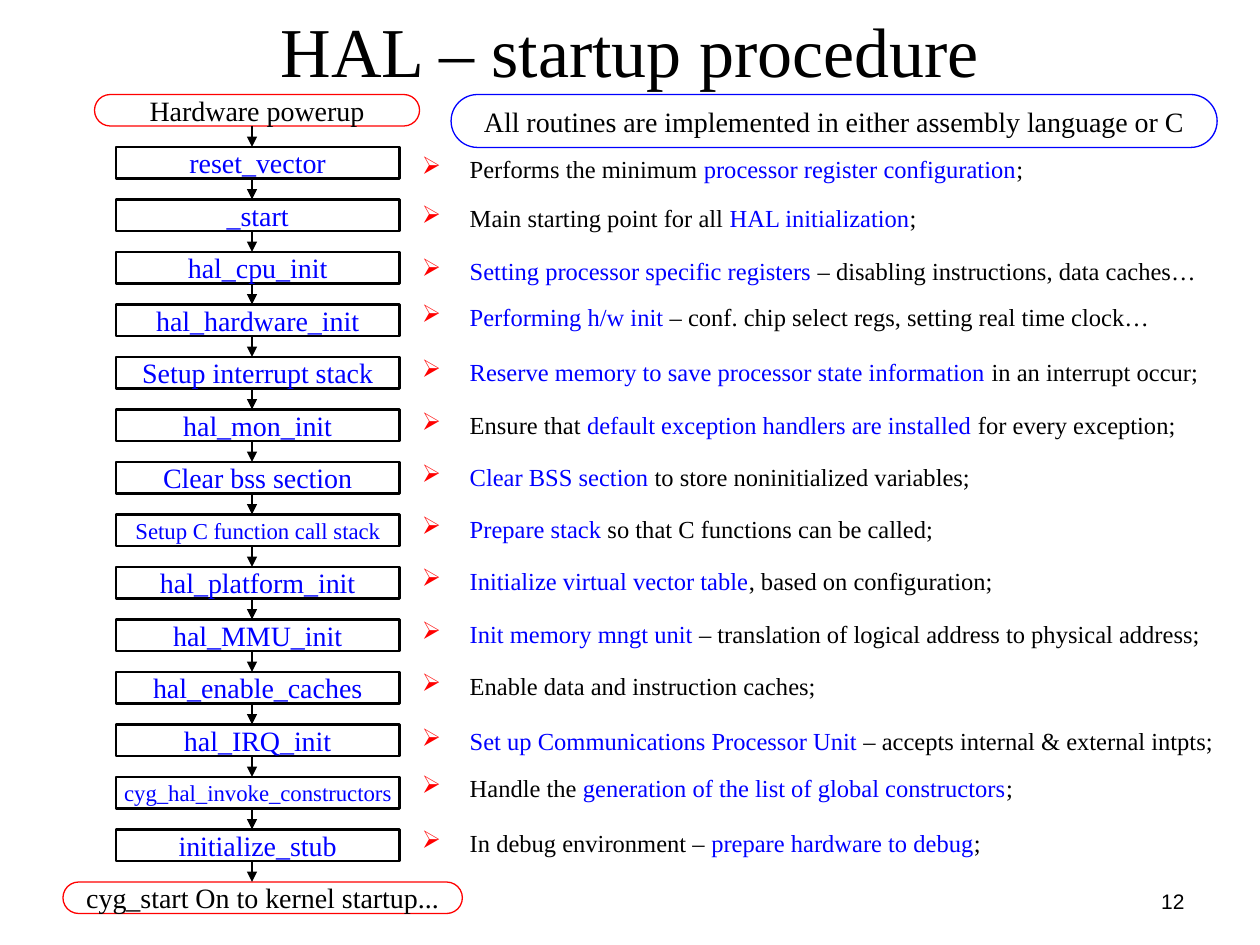
from lxml import etree
from pptx import Presentation
from pptx.dml.color import RGBColor
from pptx.enum.shapes import MSO_CONNECTOR, MSO_SHAPE
from pptx.enum.text import MSO_ANCHOR, PP_ALIGN
from pptx.oxml.ns import qn
from pptx.util import Inches, Pt

COLORS = {"black": "000000", "blue": "0000FF", "red": "FF0000"}
SERIF = "Times New Roman"
FLOW_TOP, FLOW_STEP, BOX_HEIGHT, ARROW_X = 0.75, 5 / 12, 0.25, 2

ROUTINES = [
    ("reset_vector", 16), ("_start", 16), ("hal_cpu_init", 16),
    ("hal_hardware_init", 16), ("Setup interrupt stack", 16),
    ("hal_mon_init", 16), ("Clear bss section", 16),
    ("Setup C function call stack", 13), ("hal_platform_init", 16),
    ("hal_MMU_init", 16), ("hal_enable_caches", 16), ("hal_IRQ_init", 16),
    ("cyg_hal_invoke_constructors", 13), ("initialize_stub", 16),
]

EXPLANATIONS = [
    (1.4, [("Performs the minimum ", "black"),
           ("processor register configuration", "blue"), (";", "black")]),
    (1.5, [("Main starting point for all ", "black"),
           ("HAL initialization", "blue"), (";", "black")]),
    (1.6, [("Setting processor specific registers", "blue"),
           (" – disabling instructions, data caches…", "black")]),
    (1.4, [("Performing h/w init", "blue"),
           (" – conf. chip select regs, setting real time clock…", "black")]),
    (1.7, [("Reserve memory to save processor state information", "blue"),
           (" in an interrupt occur;", "black")]),
    (1.6, [("Ensure that ", "black"),
           ("default exception handlers are installed", "blue"),
           (" for every exception;", "black")]),
    (1.6, [("Clear BSS section", "blue"),
           (" to store noninitialized variables;", "black")]),
    (1.6, [("Prepare stack", "blue"),
           (" so that C functions can be called;", "black")]),
    (1.6, [("Initialize virtual vector table", "blue"),
           (", based on configuration;", "black")]),
    (1.6, [("Init memory mngt unit", "blue"),
           (" – translation of logical address to physical address;", "black")]),
    (1.6, [("Enable data and instruction caches;", "black")]),
    (1.7, [("Set up Communications Processor Unit", "blue"),
           (" – accepts internal & external intpts;", "black")]),
    (1.4, [("Handle the ", "black"),
           ("generation of the list of global constructors", "blue"),
           (";", "black")]),
    (1.7, [("In debug environment – ", "black"),
           ("prepare hardware to debug", "blue"), (";", "black")]),
]


def rgb(name):
    return RGBColor.from_string(COLORS[name])


def add_run(paragraph, text, size, color="black", font=SERIF):
    run = paragraph.add_run()
    run.text = text
    run.font.size = Pt(size)
    run.font.name = font
    run.font.color.rgb = rgb(color)


def add_label(slide, area, text, size, align, font=SERIF):
    label = slide.shapes.add_textbox(*map(Inches, area))
    frame = label.text_frame
    frame.word_wrap = True
    frame.vertical_anchor = MSO_ANCHOR.MIDDLE
    frame.paragraphs[0].alignment = align
    add_run(frame.paragraphs[0], text, size, font=font)


def add_node(slide, preset, area, text, size, color, outline, weight):
    node = slide.shapes.add_shape(preset, *map(Inches, area))
    if preset == MSO_SHAPE.ROUNDED_RECTANGLE:
        node.adjustments[0] = 0.5
    node.shadow.inherit = False
    node.fill.background()
    node.line.color.rgb = rgb(outline)
    node.line.width = Pt(weight)
    frame = node.text_frame
    frame.word_wrap = False
    frame.vertical_anchor = MSO_ANCHOR.MIDDLE
    frame.paragraphs[0].alignment = PP_ALIGN.CENTER
    add_run(frame.paragraphs[0], text, size, color)


def add_capsule(slide, area, text, outline):
    add_node(slide, MSO_SHAPE.ROUNDED_RECTANGLE, area, text, 16, "black",
             outline, 0.75)


def add_arrow(slide, top, bottom):
    arrow = slide.shapes.add_connector(
        MSO_CONNECTOR.STRAIGHT, Inches(ARROW_X), Inches(top),
        Inches(ARROW_X), Inches(bottom))
    arrow.line.color.rgb = rgb("black")
    arrow.line.width = Pt(0.75)
    etree.SubElement(arrow.line._get_or_add_ln(), qn("a:tailEnd"), type="triangle")
    etree.SubElement(arrow._element.spPr, qn("a:effectLst"))


def add_bullet(paragraph):
    properties = paragraph._p.get_or_add_pPr()
    properties.set("marL", str(Inches(0.38)))
    properties.set("indent", str(Inches(-0.38)))
    bullet_color = etree.SubElement(properties, qn("a:buClr"))
    etree.SubElement(bullet_color, qn("a:srgbClr"), val=COLORS["red"])
    etree.SubElement(properties, qn("a:buChar"), char="➢")


def add_flow(slide):
    tops = [FLOW_TOP + FLOW_STEP * i for i in range(len(ROUTINES) + 2)]
    add_capsule(slide, (0.75, tops[0], 2.58, BOX_HEIGHT),
                "Hardware powerup", "red")
    for top, (routine, size) in zip(tops[1:], ROUTINES):
        add_node(slide, MSO_SHAPE.RECTANGLE, (0.92, top, 2.25, BOX_HEIGHT),
                 routine, size, "blue", "black", 1.5)
    add_capsule(slide, (0.5, tops[-1], 3.17, BOX_HEIGHT),
                "cyg_start On to kernel startup...", "red")
    for top, following in zip(tops, tops[1:]):
        add_arrow(slide, top + BOX_HEIGHT, following)


def add_explanations(slide):
    column = slide.shapes.add_textbox(*map(Inches, (3.25, 1.08, 6.5, 6.17)))
    frame = column.text_frame
    frame.word_wrap = True
    for i, (spacing, pieces) in enumerate(EXPLANATIONS):
        paragraph = frame.add_paragraph() if i else frame.paragraphs[0]
        add_bullet(paragraph)
        paragraph.line_spacing = spacing
        paragraph.space_before = Pt(3 if i else 0)
        for text, color in pieces:
            add_run(paragraph, text, 14, color)


def main():
    """Build the HAL startup procedure slide."""
    deck = Presentation()
    deck.slide_width, deck.slide_height = Inches(10), Inches(7.5)
    slide = deck.slides.add_slide(deck.slide_layouts[6])
    add_label(slide, (7.17, 6.95, 2.33, 0.4), "12", 12, PP_ALIGN.RIGHT, "Arial")
    add_label(slide, (0.5, 0, 9, 0.78), "HAL – startup procedure", 40,
              PP_ALIGN.CENTER)
    add_flow(slide)
    add_capsule(slide, (3.58, 0.75, 6.08, 0.42),
                "All routines are implemented in either assembly language or C",
                "blue")
    add_explanations(slide)
    deck.save("out.pptx")


if __name__ == "__main__":
    main()
